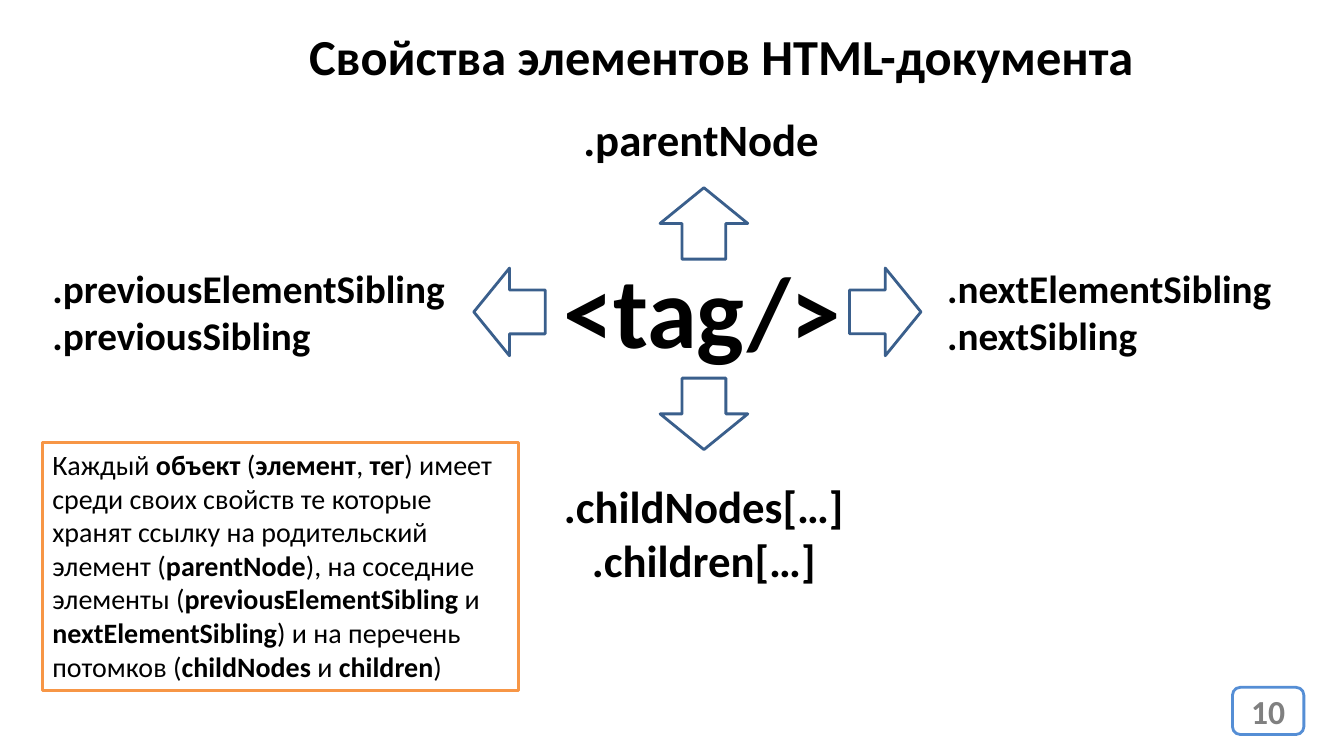
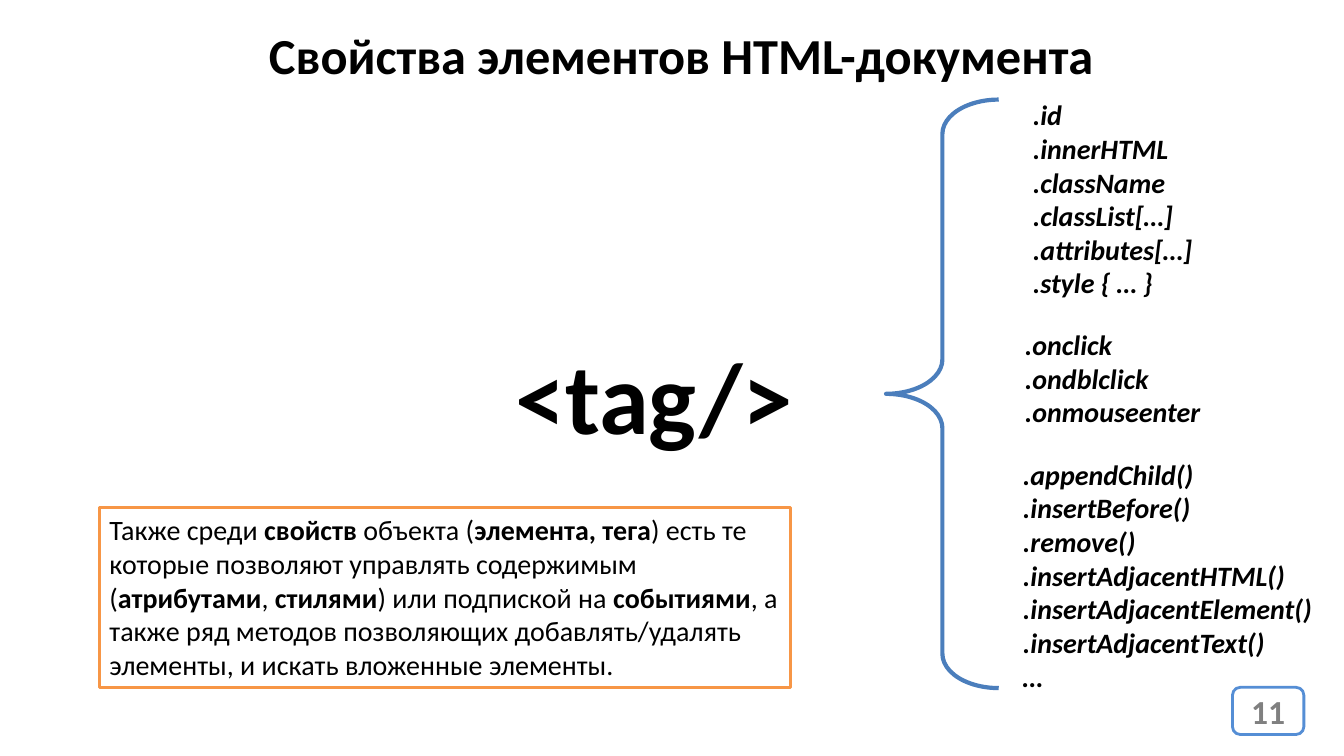
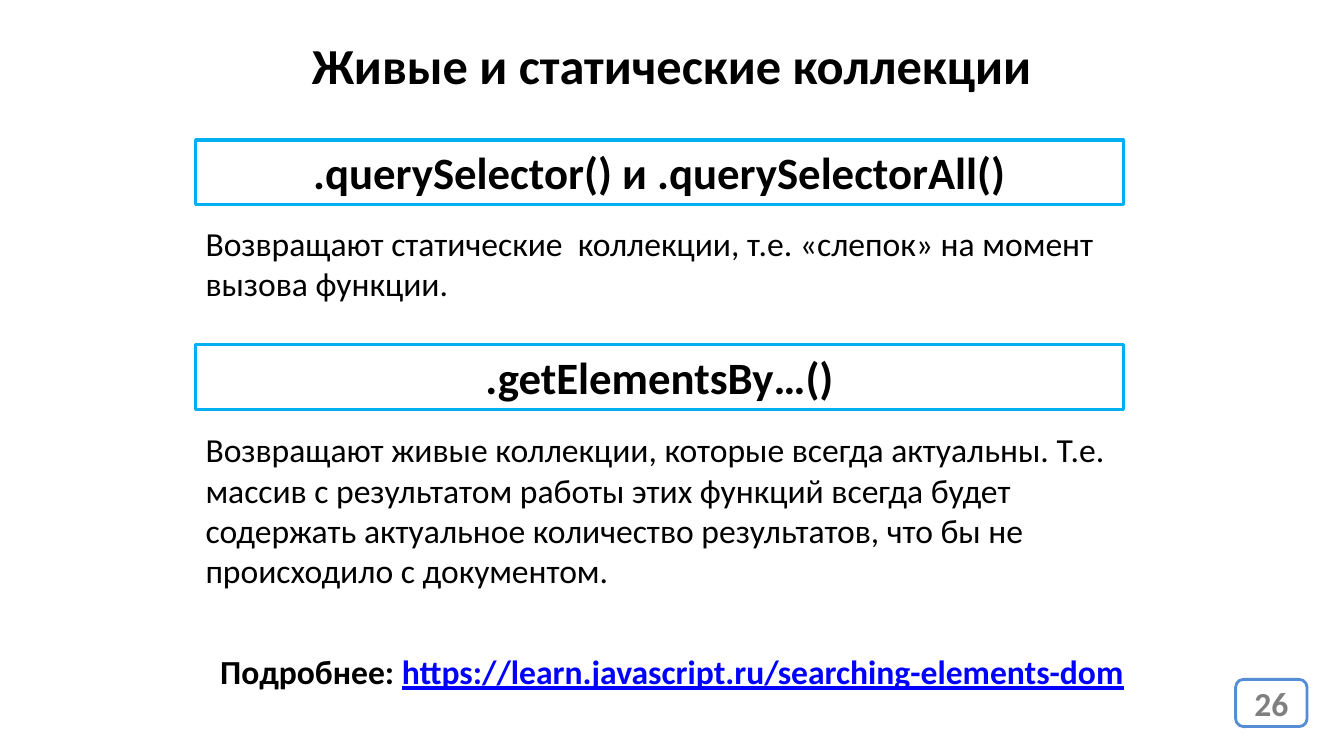
"""Build three slides on DOM element properties and collections."""
import pptx
import pptx.util
import pptx.dml.color
import pptx.enum.shapes
import pptx.enum.text

Cm = pptx.util.Cm
Pt = pptx.util.Pt
RGBColor = pptx.dml.color.RGBColor
Kind = pptx.enum.shapes.MSO_SHAPE
Align = pptx.enum.text.PP_ALIGN
Anchor = pptx.enum.text.MSO_ANCHOR

FONT = "Calibri"
BLACK = RGBColor(0, 0, 0)
WHITE = RGBColor(255, 255, 255)
GREY = RGBColor(0x80, 0x80, 0x80)
BADGE = RGBColor(0x55, 0x8E, 0xD5)
ARROW = RGBColor(0x3A, 0x5F, 0x8C)
BRACE = RGBColor(0x4B, 0x7E, 0xBC)
ORANGE = RGBColor(0xF7, 0x96, 0x46)
CYAN = RGBColor(0x00, 0xB0, 0xF0)
LINK = RGBColor(0, 0, 255)


def draw(page, kind, at, edge, width, fill=None):
    """Add an outlined preset shape, placed in centimetres."""
    shape = page.shapes.add_shape(kind, *map(Cm, at))
    shape.shadow.inherit = False
    shape.line.color.rgb = edge
    shape.line.width = Pt(width)
    if fill is None:
        shape.fill.background()
    else:
        shape.fill.solid()
        shape.fill.fore_color.rgb = fill
    return shape


def write(page, place, lines, size, bold=True, italic=False, color=BLACK,
          align=Align.LEFT, anchor=Anchor.TOP, wrap=True):
    """Write lines into a shape or a new text box; *stars* mark bold words."""
    if isinstance(place, tuple):
        place = page.shapes.add_textbox(*map(Cm, place))
    frame = place.text_frame
    frame.word_wrap = wrap
    frame.vertical_anchor = anchor
    for index, line in enumerate(lines):
        para = frame.add_paragraph() if index else frame.paragraphs[0]
        para.alignment = align
        font = para.font
        font.name, font.size, font.color.rgb = FONT, Pt(size), color
        font.bold, font.italic = bold, italic
        for turn, part in enumerate(line.split("*")):
            run = para.add_run()
            run.text = part
            if turn % 2:
                run.font.bold = True
    return frame


deck = pptx.Presentation()
deck.slide_width, deck.slide_height = Cm(33.87), Cm(19.05)

PROPS = "Свойства элементов HTML-документа"
heads = [
    (PROPS, (7.54, 0.51, 21.56, 1.8), False, "10", (31.06, 17.32)),
    (PROPS, (6.53, 0.48, 21.56, 1.8), False, "11", (31.06, 17.32)),
    ("Живые и статические коллекции", (0, 0.74, 33.87, 1.8), True, "26", (31.14, 17.12)),
]
pages = []
for title, at, wide, number, spot in heads:
    page = deck.slides.add_slide(deck.slide_layouts[6])
    badge = draw(page, Kind.ROUNDED_RECTANGLE, (*spot, 1.8, 1.19), BADGE, 2, WHITE)
    write(page, badge, [number], 24, color=GREY, align=Align.CENTER, anchor=Anchor.MIDDLE)
    write(page, at, [title], 36, align=Align.CENTER if wide else Align.LEFT, wrap=wide)
    pages.append(page)
nodes, members, lists = pages

for page, left, top in [(nodes, 13.94, 6.12), (members, 12.73, 8.28)]:
    write(page, (left, top, 7.6, 3.33), ["<tag/>"], 72, wrap=False)

LONG, THICK = 1.8, 2.21
for x, y, turn in [(22.31, 7.86, 0), (12.84, 7.86, 180), (17.74, 5.63, 270), (17.74, 10.43, 90)]:
    at = (x - LONG / 2, y - THICK / 2, LONG, THICK)
    draw(nodes, Kind.RIGHT_ARROW, at, ARROW, 2, WHITE).rotation = turn

labels = [
    ((13.87, 2.69, 7.6, 1.63), [".parentNode"], 32, Align.CENTER),
    ((13.94, 11.94, 7.6, 3), [".childNodes[…]", ".children[…]"], 32, Align.CENTER),
    ((23.62, 6.53, 9.19, 2.64), [".nextElementSibling", ".nextSibling"], 28, Align.LEFT),
    ((1.07, 6.53, 16.94, 2.64), [".previousElementSibling", ".previousSibling"], 28, Align.LEFT),
]
for at, lines, size, align in labels:
    write(nodes, at, lines, size, align=align)

notes = [
    (nodes, (1.07, 11.15, 11.99, 6.25),
     "Каждый *объект* (*элемент*, *тег*) имеет среди своих свойств те которые хранят "
     "ссылку на родительский элемент (*parentNode*), на соседние элементы "
     "(*previousElementSibling* и *nextElementSibling*) и на перечень потомков "
     "(*childNodes *и *children*)"),
    (members, (2.51, 12.8, 17.42, 4.52),
     "Также среди *свойств* объекта (*элемента, тега*) есть те которые позволяют "
     "управлять содержимым (*атрибутами*, *стилями*) или подпиской на *событиями*, "
     "а также ряд методов позволяющих добавлять/удалять элементы, и искать "
     "вложенные элементы."),
]
for page, at, text in notes:
    write(page, draw(page, Kind.RECTANGLE, at, ORANGE, 2.25), [text], 20, bold=False)

brace = draw(members, Kind.LEFT_BRACE, (22.33, 2.51, 2.84, 14.83), BRACE, 3)
brace.adjustments[0] = 0.305
brace.adjustments[1] = 0.5

groups = [
    ((25.78, 2.34, 4.57, 5.38),
     [".id", ".innerHTML", ".className", ".classList[…]", ".attributes[…]", ".style { … }"]),
    ((25.58, 8.13, 4.98, 2.82), [".onclick", ".ondblclick", ".onmouseenter"]),
    ((25.53, 11.4, 7.85, 6.25),
     [".appendChild()", ".insertBefore()", ".remove()", ".insertAdjacentHTML()",
      ".insertAdjacentElement()", ".insertAdjacentText()", "…"]),
]
for at, lines in groups:
    write(members, at, lines, 20, italic=True, wrap=False)

LEFT, WIDE = 4.93, 23.39
facts = [
    (3.53, ".querySelector() и .querySelectorAll()", (LEFT, 5.49, WIDE, 2.31),
     "Возвращают статические  коллекции, т.е. «слепок» на момент вызова функции."),
    (8.69, ".getElementsBy…()", (LEFT, 10.69, 23.8, 4.37),
     "Возвращают живые коллекции, которые всегда актуальны. Т.е. массив с результатом "
     "работы этих функций всегда будет содержать актуальное количество результатов, "
     "что бы не происходило с документом."),
]
for top, call, at, text in facts:
    frame = draw(lists, Kind.RECTANGLE, (LEFT, top, WIDE, 1.63), CYAN, 2.25)
    write(lists, frame, [call], 32, align=Align.CENTER)
    write(lists, at, [text], 24, bold=False)

more = write(lists, (0, 16.28, 33.87, 1.27), ["Подробнее: "], 24, align=Align.CENTER)
link = more.paragraphs[0].add_run()
link.text = "https://learn.javascript.ru/searching-elements-dom"
link.font.color.rgb = LINK
link.font.underline = True

deck.save("out.pptx")
